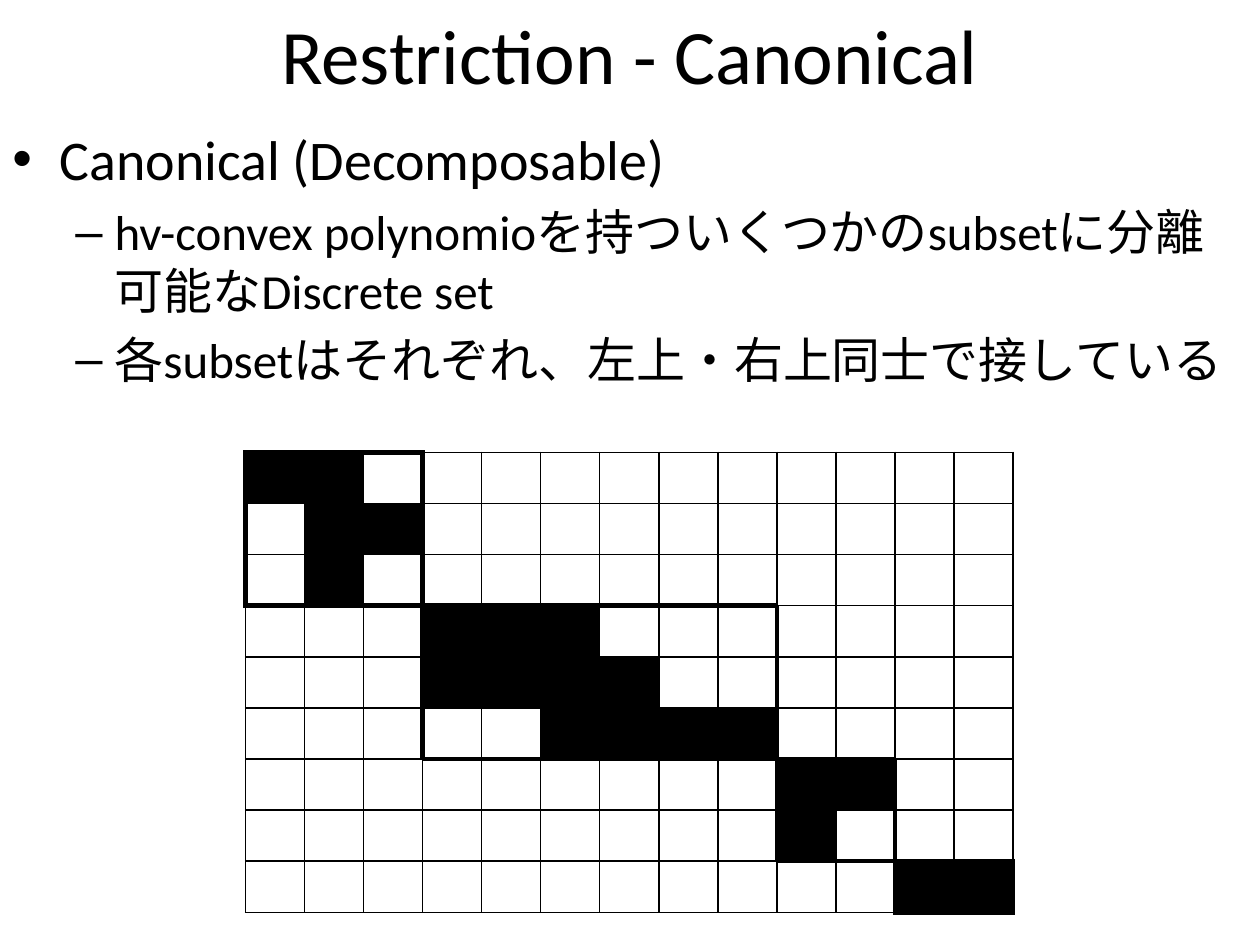
"""Build a slide on canonical discrete sets with a grid of diagonal blocks."""
import lxml.etree
import pptx
import pptx.dml.color
import pptx.enum.text
import pptx.oxml.ns
import pptx.util

Cm = pptx.util.Cm
Pt = pptx.util.Pt
qn = pptx.oxml.ns.qn
COLORS = {"ink": "000000"}
INK = pptx.dml.color.RGBColor.from_string(COLORS["ink"])


def add_text(page, left, top, width, height, lines, sizes):
    box = page.shapes.add_textbox(Cm(left), Cm(top), Cm(width), Cm(height))
    frame = box.text_frame
    frame.word_wrap = True
    frame.text = "\n".join(lines)
    for para, size in zip(frame.paragraphs, sizes):
        for span in para.runs:
            span.font.name = "Calibri"
            span.font.size = Pt(size)
            span.font.color.rgb = INK
    return frame


def add_border(cell, side, width):
    properties = cell._tc.get_or_add_tcPr()
    line = lxml.etree.SubElement(properties, qn(f"a:ln{side}"), w=str(Pt(width)))
    fill = lxml.etree.SubElement(line, qn("a:solidFill"))
    lxml.etree.SubElement(fill, qn("a:srgbClr"), val=COLORS["ink"])


deck = pptx.Presentation()
deck.slide_width = Cm(25.4)
deck.slide_height = Cm(19.05)
page = deck.slides.add_slide(deck.slide_layouts[6])

title = add_text(page, 0, 0, 25.4, 2.18, ["Restriction - Canonical"], [44])
title.vertical_anchor = pptx.enum.text.MSO_ANCHOR.MIDDLE
title.paragraphs[0].alignment = pptx.enum.text.PP_ALIGN.CENTER

points = [
    (0, "Canonical (Decomposable)"),
    (1, "hv-convex polynomioを持ついくつかのsubsetに分離可能なDiscrete set"),
    (1, "各subsetはそれぞれ、左上・右上同士で接している"),
]
styles = [(32, "•", 0.95, 0.95), (28, "–", 2.06, 0.79)]
body = add_text(page, 0, 2.39, 25.4, 16.08,
                [text for level, text in points],
                [styles[level][0] for level, text in points])
for para, (level, text) in zip(body.paragraphs, points):
    size, bullet, margin, hanging = styles[level]
    para.level = level
    para.space_before = Pt(size * 0.2)
    properties = para._p.get_or_add_pPr()
    properties.set("marL", str(Cm(margin)))
    properties.set("indent", str(-Cm(hanging)))
    lxml.etree.SubElement(properties, qn("a:buFont"), typeface="Arial")
    lxml.etree.SubElement(properties, qn("a:buChar"), char=bullet)

pattern = [
    "##...........",
    ".##..........",
    ".#...........",
    "...###.......",
    "...####......",
    ".....####....",
    ".........##..",
    ".........#...",
    "...........##",
]
blocks = [(0, 0, 3, 3), (3, 3, 3, 6), (6, 9, 2, 2), (8, 11, 1, 2)]
block_of = {
    (top + row, left + column): number
    for number, (top, left, height, width) in enumerate(blocks)
    for row in range(height)
    for column in range(width)
}
neighbours = {"L": (0, -1), "R": (0, 1), "T": (-1, 0), "B": (1, 0)}
row_count, column_count = len(pattern), len(pattern[0])
column_width, row_height = Cm(1.19), Cm(1.03)
grid = page.shapes.add_table(row_count, column_count, Cm(4.95), Cm(9.12),
                             column_width * column_count, row_height * row_count).table
grid.first_row = False
grid.horz_banding = False
for column in grid.columns:
    column.width = column_width
for row, marks in enumerate(pattern):
    grid.rows[row].height = row_height
    for column, mark in enumerate(marks):
        cell = grid.cell(row, column)
        cell.margin_top = cell.margin_bottom = 0
        for side, (down, across) in neighbours.items():
            inside = block_of.get((row, column))
            outside = block_of.get((row + down, column + across))
            add_border(cell, side, 1 if inside == outside else 3)
        if mark == "#":
            cell.fill.solid()
            cell.fill.fore_color.rgb = INK
        else:
            cell.fill.background()

deck.save("out.pptx")
